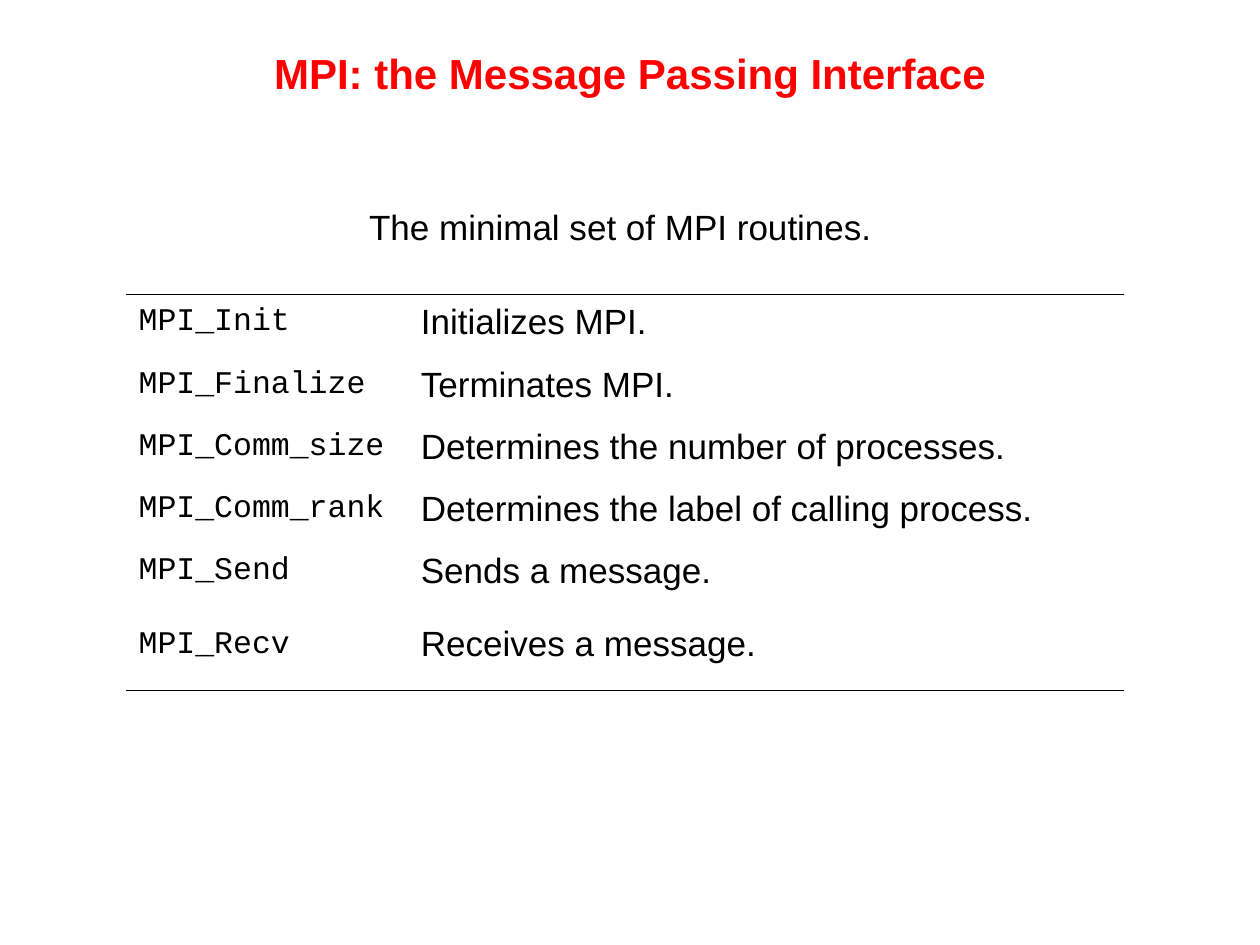
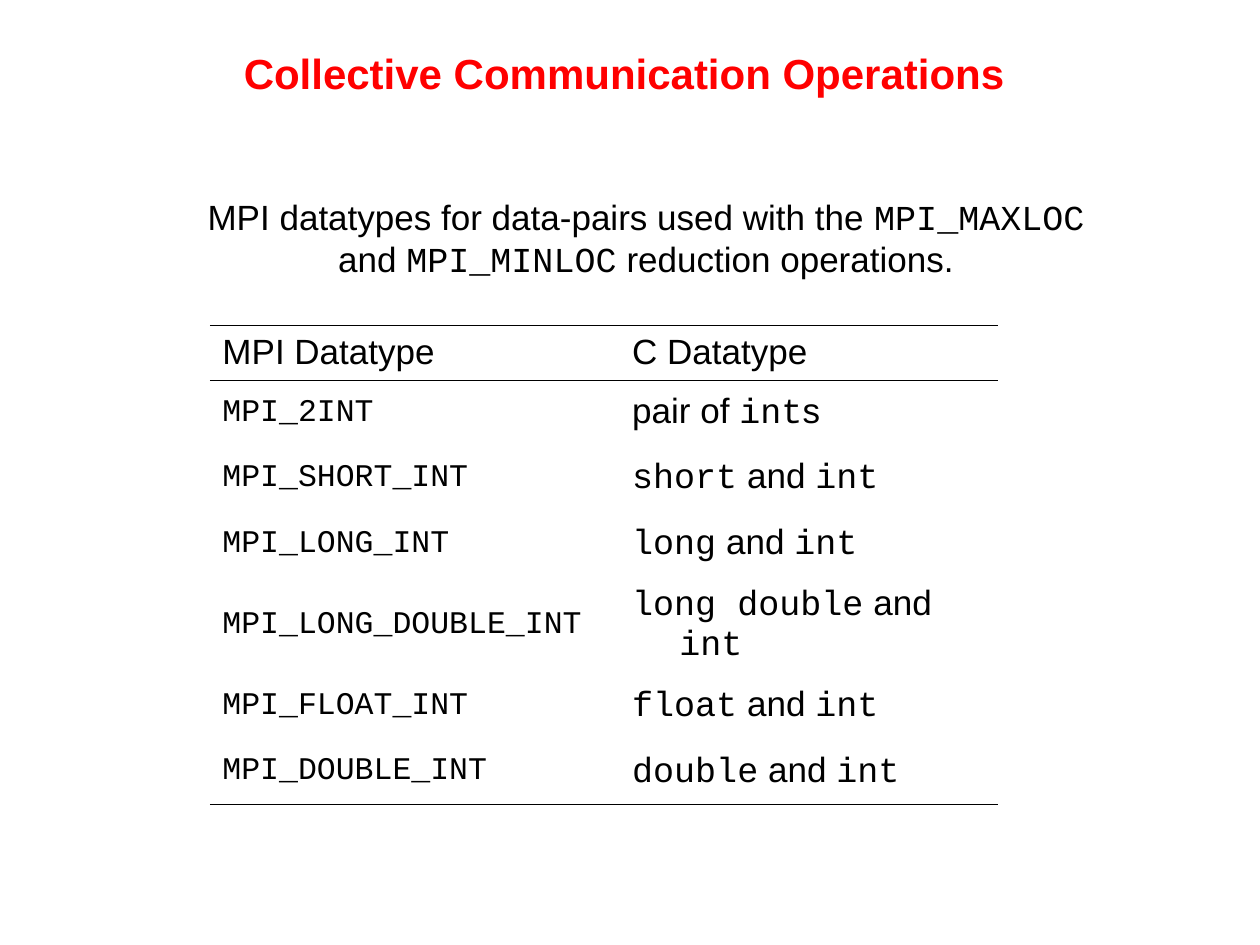
from dataclasses import dataclass

from lxml.etree import SubElement
from pptx import Presentation
from pptx.dml.color import RGBColor
from pptx.enum.text import MSO_ANCHOR, MSO_AUTO_SIZE, PP_ALIGN
from pptx.oxml.ns import qn
from pptx.util import Cm, Pt

SANS = "Arial"
MONO = "Courier New"
RED = "FF0000"
BLACK = "000000"
TITLE_ONLY = 5
RULE_WIDTH = Pt(0.45)
HANGING = Cm(0.95)


@dataclass
class Caption:
    text: str
    left: float
    top: float
    width: float
    height: float
    wrap: bool
    align: PP_ALIGN


@dataclass
class Listing:
    """A two-column table; rules are the row edges that carry a line."""
    left: float
    top: float
    columns: tuple[float, ...]
    heights: tuple[float, ...]
    rows: tuple[tuple[str, str], ...]
    rules: tuple[int, ...]


@dataclass
class Page:
    title: str
    caption: Caption
    listing: Listing


PAGES = (
    Page(
        "MPI: the Message Passing Interface",
        Caption("The minimal set of MPI routines.",
                7.19, 4.01, 10.64, 1.12, False, PP_ALIGN.LEFT),
        Listing(
            2.54, 5.93, (5.69, 14.43), (1.14, 1.4, 0.84, 1.4, 0.91, 1.85),
            (
                ("`MPI_Init`", "Initializes MPI."),
                ("`MPI_Finalize`", "Terminates MPI."),
                ("`MPI_Comm_size`", "Determines the number of processes."),
                ("`MPI_Comm_rank`", "Determines the label of calling process."),
                ("`MPI_Send`", "Sends a message."),
                ("`MPI_Recv`", "Receives a message."),
            ),
            rules=(0, 6),
        ),
    ),
    Page(
        "Collective Communication Operations ",
        Caption("MPI datatypes for data-pairs used with the `MPI_MAXLOC` and "
                "`MPI_MINLOC` reduction operations.",
                3.6, 3.81, 18.85, 1.96, True, PP_ALIGN.CENTER),
        Listing(
            4.23, 6.56, (8.26, 7.62), (1.09,) + (1.32,) * 6,
            (
                ("MPI Datatype", "C Datatype"),
                ("`MPI_2INT`", "pair of `int`s"),
                ("`MPI_SHORT_INT`", "`short` and `int`"),
                ("`MPI_LONG_INT`", "`long` and `int`"),
                ("`MPI_LONG_DOUBLE_INT`", "`long double` and `int`"),
                ("`MPI_FLOAT_INT`", "`float` and `int`"),
                ("`MPI_DOUBLE_INT`", "`double` and `int`"),
            ),
            rules=(0, 1, 7),
        ),
    ),
)


def write(para, text: str, *, size: int = 20, code_size: int = 20,
          color: str = BLACK, bold: bool = False,
          align: PP_ALIGN = PP_ALIGN.LEFT) -> None:
    """Fill a paragraph; text between backticks is set in the code font."""
    para.alignment = align
    for index, part in enumerate(text.split("`")):
        if not part:
            continue
        is_code = index % 2 == 1
        span = para.add_run()
        span.text = part
        span.font.name = MONO if is_code else SANS
        span.font.size = Pt(code_size if is_code else size)
        span.font.bold = bold
        span.font.color.rgb = RGBColor.from_string(color)


def add_title(slide, text: str) -> None:
    title = slide.shapes.title
    title.left, title.top = Cm(1.27), Cm(0.2)
    title.width, title.height = Cm(22.86), Cm(2.54)
    title.text_frame.vertical_anchor = MSO_ANCHOR.MIDDLE
    write(title.text_frame.paragraphs[0], text, size=24, color=RED,
          bold=True, align=PP_ALIGN.CENTER)


def add_caption(slide, caption: Caption) -> None:
    box = slide.shapes.add_textbox(Cm(caption.left), Cm(caption.top),
                                   Cm(caption.width), Cm(caption.height))
    frame = box.text_frame
    frame.word_wrap = caption.wrap
    frame.auto_size = MSO_AUTO_SIZE.SHAPE_TO_FIT_TEXT
    write(frame.paragraphs[0], caption.text, align=caption.align)


def set_borders(cell, *, top: bool, bottom: bool) -> None:
    properties = cell._tc.get_or_add_tcPr()
    edges = {"a:lnL": False, "a:lnR": False, "a:lnT": top, "a:lnB": bottom}
    for tag, visible in edges.items():
        line = SubElement(properties, qn(tag), w=str(RULE_WIDTH))
        if visible:
            fill = SubElement(line, qn("a:solidFill"))
            SubElement(fill, qn("a:srgbClr"), val=BLACK)
        else:
            SubElement(line, qn("a:noFill"))


def set_hanging_indent(para) -> None:
    properties = para._p.get_or_add_pPr()
    properties.set("marL", str(HANGING))
    properties.set("indent", str(-HANGING))


def add_listing(slide, listing: Listing) -> None:
    table = slide.shapes.add_table(
        len(listing.rows), len(listing.columns),
        Cm(listing.left), Cm(listing.top),
        Cm(sum(listing.columns)), Cm(sum(listing.heights))).table
    table.first_row = table.horz_banding = False
    for column, width in zip(table.columns, listing.columns):
        column.width = Cm(width)
    for row, height in zip(table.rows, listing.heights):
        row.height = Cm(height)
    for row_index, texts in enumerate(listing.rows):
        for column_index, text in enumerate(texts):
            cell = table.cell(row_index, column_index)
            cell.vertical_anchor = MSO_ANCHOR.MIDDLE
            set_borders(cell, top=row_index in listing.rules,
                        bottom=row_index + 1 in listing.rules)
            cell.fill.background()
            para = cell.text_frame.paragraphs[0]
            set_hanging_indent(para)
            write(para, text, code_size=18 if column_index == 0 else 20)


def main() -> None:
    deck = Presentation()
    deck.slide_width, deck.slide_height = Cm(25.4), Cm(19.05)
    for page in PAGES:
        slide = deck.slides.add_slide(deck.slide_layouts[TITLE_ONLY])
        add_title(slide, page.title)
        add_caption(slide, page.caption)
        add_listing(slide, page.listing)
    deck.save("out.pptx")


if __name__ == "__main__":
    main()
